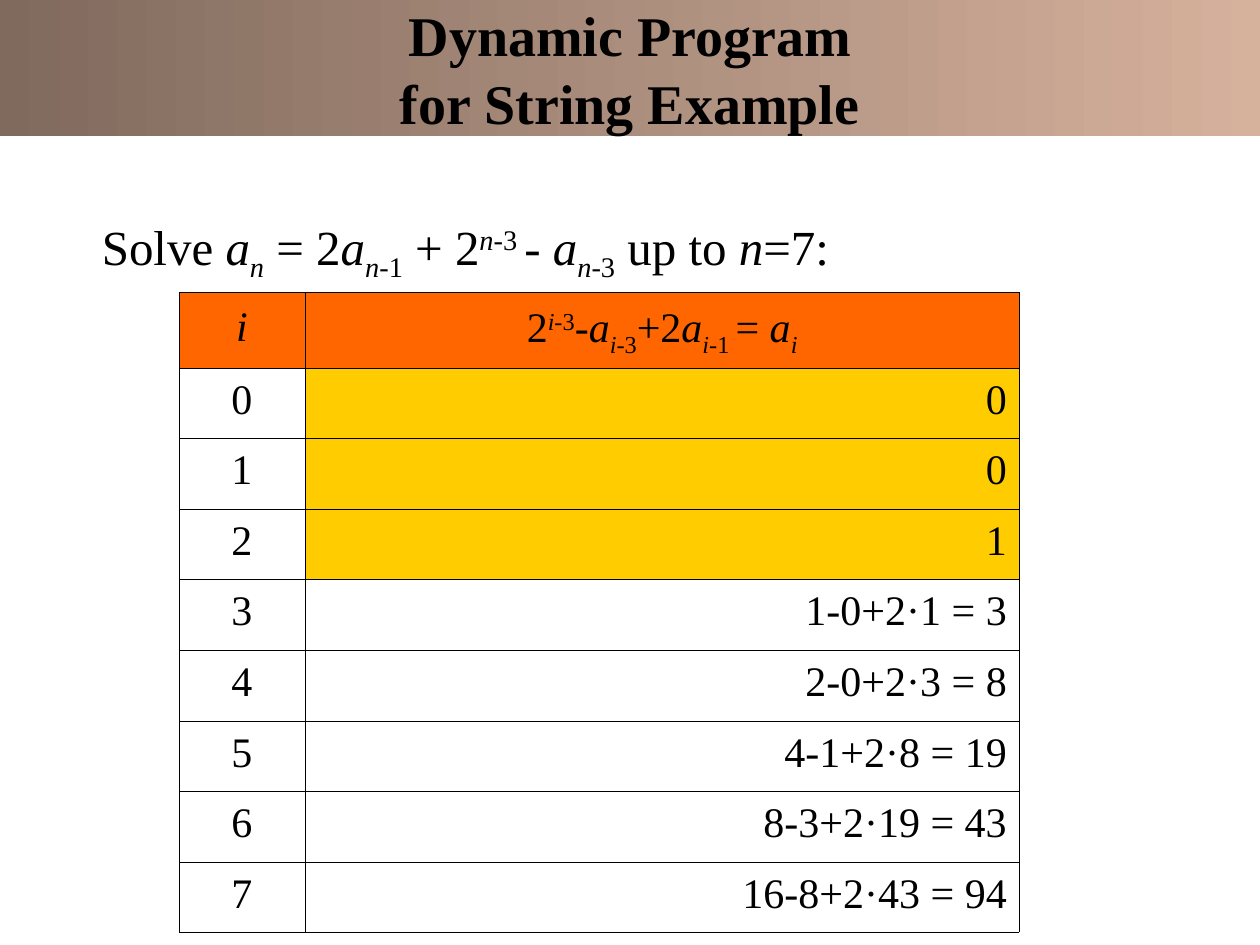
from lxml import etree
from pptx import Presentation
from pptx.dml.color import RGBColor
from pptx.enum.shapes import MSO_SHAPE
from pptx.enum.text import MSO_ANCHOR, PP_ALIGN
from pptx.oxml.ns import qn
from pptx.util import Inches, Pt

RECTANGLE = MSO_SHAPE.RECTANGLE
MIDDLE = MSO_ANCHOR.MIDDLE
CENTER, RIGHT = PP_ALIGN.CENTER, PP_ALIGN.RIGHT

FONT = "Times New Roman"
BLACK, ORANGE, YELLOW = "000000", "FF6600", "FFCC00"
BAND_START, BAND_END = "D6B19C", "806A5D"
INNER_LINE, OUTER_LINE = 0.06, 0.11
NORMAL, SUBSCRIPT, SUPERSCRIPT = 0, -25000, 30000

RECURRENCE = [
    ("Solve ", False, NORMAL), ("a", True, NORMAL), ("n", True, SUBSCRIPT),
    (" = 2", False, NORMAL), ("a", True, NORMAL), ("n", True, SUBSCRIPT),
    ("-1", False, SUBSCRIPT), (" + 2", False, NORMAL), ("n", True, SUPERSCRIPT),
    ("-3 ", False, SUPERSCRIPT), ("- ", False, NORMAL), ("a", True, NORMAL),
    ("n", True, SUBSCRIPT), ("-3", False, SUBSCRIPT), (" up to ", False, NORMAL),
    ("n", True, NORMAL), ("=7:", False, NORMAL),
]
INDEX_HEADER = [("i", True, NORMAL)]
FORMULA_HEADER = [
    ("2", False, NORMAL), ("i", True, SUPERSCRIPT), ("-3", False, SUPERSCRIPT),
    ("-", False, NORMAL), ("a", True, NORMAL), ("i", True, SUBSCRIPT),
    ("-3", False, SUBSCRIPT), ("+2", False, NORMAL), ("a", True, NORMAL),
    ("i", True, SUBSCRIPT), ("-1 ", False, SUBSCRIPT), ("=", False, NORMAL),
    (" a", True, NORMAL), ("i", True, SUBSCRIPT),
]
BASE_VALUES = ["0", "0", "1"]
STEPS = ["1-0+2·1 = 3", "2-0+2·3 = 8", "4-1+2·8 = 19",
         "8-3+2·19 = 43", "16-8+2·43 = 94"]


def color(hex_value):
    """Return the RGB colour for a hex string."""
    return RGBColor.from_string(hex_value)


def style_run(run, size, bold=False, italic=False, baseline=NORMAL):
    """Format one run of text."""
    run.font.name = FONT
    run.font.size = Pt(size)
    run.font.bold = bold
    run.font.italic = italic
    run.font.color.rgb = color(BLACK)
    if baseline != NORMAL:
        run.font._element.set("baseline", str(baseline))


def write_formula(paragraph, parts, size):
    """Write parts of text, each with its italic setting and baseline."""
    for text, italic, baseline in parts:
        run = paragraph.add_run()
        run.text = text
        style_run(run, size, italic=italic, baseline=baseline)


def add_title_band(slide, left, top, width, height):
    """Add the gradient band with the slide title."""
    band = slide.shapes.add_shape(RECTANGLE, left, top, width, height)
    band.shadow.inherit = False
    band.line.fill.background()
    band.fill.gradient()
    band.fill.gradient_angle = 180
    for stop, hex_value in zip(band.fill.gradient_stops, (BAND_START, BAND_END)):
        stop.color.rgb = color(hex_value)
    frame = band.text_frame
    frame.word_wrap = True
    frame.vertical_anchor = MIDDLE
    frame.text = "Dynamic Program\vfor String Example"
    paragraph = frame.paragraphs[0]
    paragraph.alignment = CENTER
    for run in paragraph.runs:
        style_run(run, 32, bold=True)


def add_recurrence(slide, left, top, width, height):
    """Add the line that states the recurrence."""
    frame = slide.shapes.add_textbox(left, top, width, height).text_frame
    frame.word_wrap = True
    write_formula(frame.paragraphs[0], RECURRENCE, 28)


def set_border(cell, side, width):
    """Draw a black border on one side of a cell."""
    properties = cell._tc.get_or_add_tcPr()
    line = etree.SubElement(properties, qn(f"a:ln{side}"), w=str(Pt(width)))
    fill = etree.SubElement(line, qn("a:solidFill"))
    etree.SubElement(fill, qn("a:srgbClr"), val=BLACK)


def format_cell(cell, parts, alignment, fill, outer_sides):
    """Fill one table cell with text, borders and background."""
    cell.vertical_anchor = MIDDLE
    for side in "LRTB":
        set_border(cell, side, OUTER_LINE if side in outer_sides else INNER_LINE)
    if fill:
        cell.fill.solid()
        cell.fill.fore_color.rgb = color(fill)
    else:
        cell.fill.background()
    paragraph = cell.text_frame.paragraphs[0]
    paragraph.alignment = alignment
    paragraph.line_spacing = 0.8
    write_formula(paragraph, parts, 24)


def add_solution_table(slide, left, top, width, height):
    """Add the table that solves the recurrence step by step."""
    rows = [(INDEX_HEADER, FORMULA_HEADER)]
    for index, value in enumerate(BASE_VALUES + STEPS):
        rows.append(([(str(index), False, NORMAL)], [(value, False, NORMAL)]))
    table = slide.shapes.add_table(len(rows), 2, left, top, width, height).table
    table.first_row = False
    table.horz_banding = False
    index_width, header_height = Inches(1), Inches(0.6)
    table.columns[0].width = index_width
    table.columns[1].width = width - index_width
    for number, (index_parts, value_parts) in enumerate(rows):
        is_header = number == 0
        is_base = 1 <= number <= len(BASE_VALUES)
        table.rows[number].height = (
            header_height if is_header else (height - header_height) // (len(rows) - 1))
        edge = "T" if is_header else "B" if number == len(rows) - 1 else ""
        header_fill = ORANGE if is_header else None
        format_cell(table.cell(number, 0), index_parts, CENTER, header_fill, "L" + edge)
        format_cell(table.cell(number, 1), value_parts, CENTER if is_header else RIGHT,
                    YELLOW if is_base else header_fill, "R" + edge)


def main():
    """Build and save the slide."""
    presentation = Presentation()
    presentation.slide_width = Inches(10)
    presentation.slide_height = Inches(7.5)
    slide = presentation.slides.add_slide(presentation.slide_layouts[6])
    add_title_band(slide, Inches(0), Inches(0), Inches(10), Inches(1.08))
    add_recurrence(slide, Inches(0.71), Inches(1.67), Inches(9.21), Inches(5))
    add_solution_table(slide, Inches(1.42), Inches(2.32), Inches(6.67), Inches(5.08))
    presentation.save("out.pptx")


if __name__ == "__main__":
    main()
